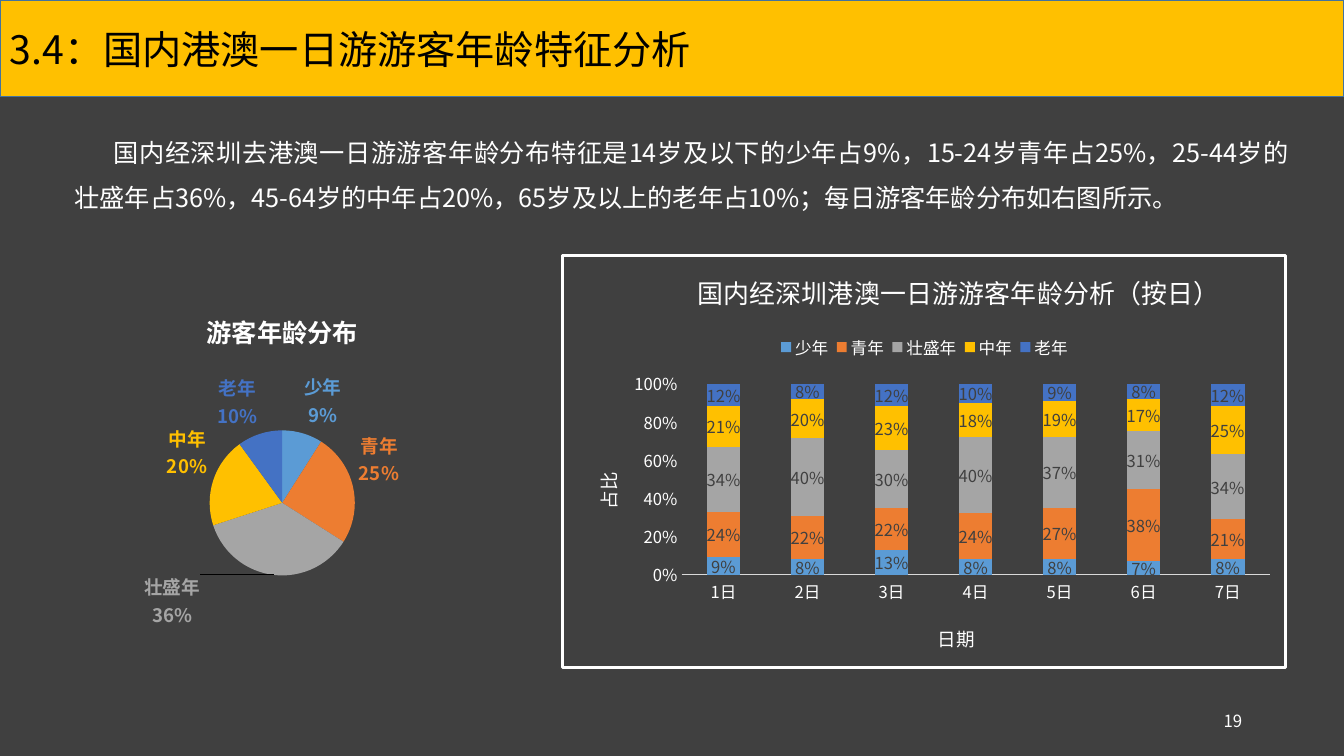
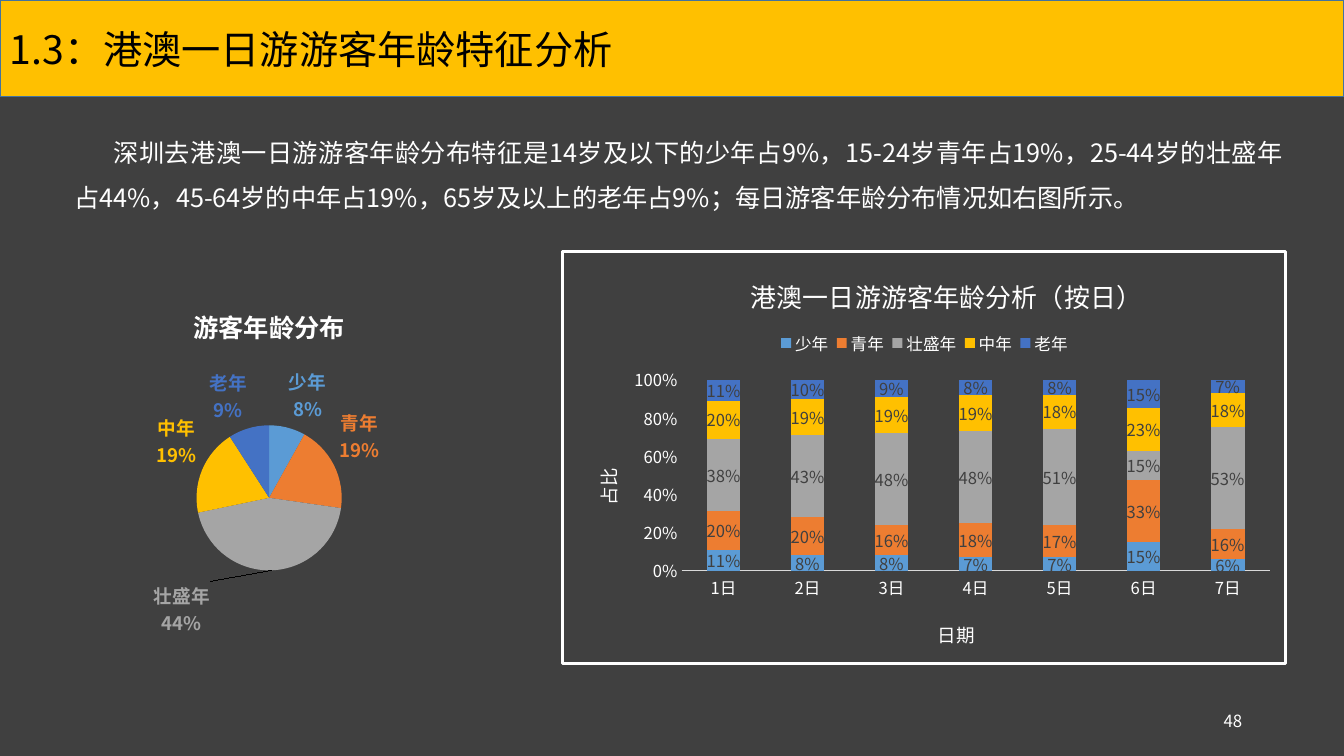
from pptx import Presentation
from pptx.chart.data import CategoryChartData
from pptx.dml.color import RGBColor
from pptx.enum.chart import XL_CHART_TYPE as ChartType
from pptx.enum.chart import XL_LABEL_POSITION as LabelPos
from pptx.enum.chart import XL_LEGEND_POSITION as LegendPos
from pptx.enum.chart import XL_TICK_MARK as TickMark
from pptx.enum.shapes import MSO_SHAPE as Shape
from pptx.enum.text import MSO_ANCHOR as Anchor
from pptx.enum.text import MSO_AUTO_SIZE as AutoSize
from pptx.enum.text import PP_ALIGN as Align
from pptx.oxml import parse_xml
from pptx.oxml.ns import nsdecls, qn
from pptx.util import Pt

PX = 9144  # 100 px to the inch
FONT = "Noto Sans CJK SC"
DARK, GOLD, WHITE, BLACK = "404040", "FFC000", "FFFFFF", "000000"
BAND_LINE, AXIS_LINE = "43739E", "D9D9D9"
AGE_COLORS = {"少年": "5B9BD5", "青年": "ED7D31", "壮盛年": "A5A5A5",
              "中年": GOLD, "老年": "4472C4"}
DAYS = [f"{day}日" for day in range(1, 8)]
NS = nsdecls("c", "a")

PAGES = [
    dict(
        title="3.4：国内港澳一日游游客年龄特征分析", number="19",
        body="国内经深圳去港澳一日游游客年龄分布特征是14岁及以下的少年占9%，15-24岁青年占25%，"
             "25-44岁的壮盛年占36%，45-64岁的中年占20%，65岁及以上的老年占10%；"
             "每日游客年龄分布如右图所示。",
        body_box=(64, 116, 1224, 146),
        bar_box=(556, 252, 721, 412), bar_title="国内经深圳港澳一日游游客年龄分析（按日）",
        bar_title_at=(130, 10),
        daily=[[9, 8, 13, 8, 8, 7, 8], [24, 22, 22, 24, 27, 38, 21],
               [34, 40, 30, 40, 37, 31, 34], [21, 20, 23, 18, 19, 17, 25],
               [12, 8, 12, 10, 9, 8, 12]],
        pie_box=(53, 291, 454, 353), shares=[9, 25, 36, 20, 10], label_shift=(-71, -8),
    ),
    dict(
        title="1.3：港澳一日游游客年龄特征分析", number="48",
        body="深圳去港澳一日游游客年龄分布特征是14岁及以下的少年占9%，15-24岁青年占19%，"
             "25-44岁的壮盛年占44%，45-64岁的中年占19%，65岁及以上的老年占9%；"
             "每日游客年龄分布情况如右图所示。",
        body_box=(64, 116, 1218, 101),
        bar_box=(556, 248, 721, 412), bar_title="港澳一日游游客年龄分析（按日）",
        bar_title_at=(183, 18),
        daily=[[11, 8, 8, 7, 7, 15, 6], [20, 20, 16, 18, 17, 33, 16],
               [38, 43, 48, 48, 51, 15, 53], [20, 19, 19, 19, 18, 23, 18],
               [11, 10, 9, 8, 8, 15, 7]],
        pie_box=(40, 286, 454, 353), shares=[8, 19, 44, 19, 9], label_shift=(-89, 5),
    ),
]


def emu(box):
    return [length * PX for length in box]


def rgb(color):
    return RGBColor.from_string(color)


def style(font, size, color, bold=False):
    font.size, font.bold, font.name = Pt(size), bold, FONT
    font.color.rgb = rgb(color)
    latin = font._rPr.find(qn("a:latin"))
    latin.addnext(parse_xml(f'<a:ea {NS} typeface="{FONT}"/>'))


def write(frame, text, size, color, align=Align.LEFT, bold=False):
    para = frame.paragraphs[0]
    para.alignment = align
    span = para.add_run()
    span.text = text
    style(span.font, size, color, bold)
    return para


# Chart helpers
def layout_xml(box, size, inner=False):
    """Layout from px inside a chart of the given size; a pair gives only x, y."""
    target = '<c:layoutTarget val="inner"/>' if inner else ""
    modes = '<c:xMode val="edge"/><c:yMode val="edge"/>'
    values = "".join(f'<c:{key} val="{length / size[i % 2]:.4f}"/>'
                     for i, (key, length) in enumerate(zip("xywh", box)))
    return f"<c:layout {NS}><c:manualLayout>{target}{modes}{values}</c:manualLayout></c:layout>"


def place(element, index, box, size, inner=False):
    for old in element.findall(qn("c:layout")):
        element.remove(old)
    element.insert(index, parse_xml(layout_xml(box, size, inner)))


def add_chart(page, kind, box, data, plot_box, border=""):
    chart = page.shapes.add_chart(kind, *emu(box), data).chart
    style(chart.font, 10, BLACK)
    space = chart._chartSpace
    line = (f'<a:ln w="{Pt(2.25)}"><a:solidFill><a:srgbClr val="{border}"/></a:solidFill></a:ln>'
            if border else "<a:ln><a:noFill/></a:ln>")
    space.find(qn("c:chart")).addnext(
        parse_xml(f"<c:spPr {NS}><a:noFill/>{line}</c:spPr>"))
    plot_area = space.find(".//" + qn("c:plotArea"))
    place(plot_area, 0, plot_box, box[2:], inner=True)
    plot_area.append(parse_xml(f"<c:spPr {NS}><a:noFill/><a:ln><a:noFill/></a:ln></c:spPr>"))
    return chart


def add_axis(axis, title, title_at, size):
    axis.has_major_gridlines = False
    axis.major_tick_mark = axis.minor_tick_mark = TickMark.NONE
    style(axis.tick_labels.font, 11.9, WHITE)
    write(axis.axis_title.text_frame, title, 13.3, WHITE, Align.CENTER)
    place(axis.axis_title._element, 1, title_at, size)


# Regions of a page
def add_band(page, box, title):
    band = page.shapes.add_shape(Shape.RECTANGLE, *emu(box))
    band.shadow.inherit = False
    band.fill.solid()
    band.fill.fore_color.rgb = rgb(GOLD)
    band.line.color.rgb = rgb(BAND_LINE)
    band.line.width = Pt(1)
    band.text_frame.vertical_anchor = Anchor.MIDDLE
    write(band.text_frame, title, 28, BLACK)


def add_body(page, box, text):
    frame = page.shapes.add_textbox(*emu(box)).text_frame
    frame.word_wrap = True
    frame.auto_size = AutoSize.SHAPE_TO_FIT_TEXT
    para = write(frame, text, 18, WHITE, Align.JUSTIFY)
    para.line_spacing = 1.5
    props = para._p.get_or_add_pPr()
    props.set("marL", "0")
    props.set("indent", str(39 * PX))


def add_number(page, box, number):
    frame = page.shapes.add_textbox(*emu(box)).text_frame
    frame.word_wrap = True
    frame.vertical_anchor = Anchor.MIDDLE
    write(frame, number, 12, WHITE, Align.RIGHT)


def add_daily_chart(page, box, title, title_at, daily):
    size = box[2:]
    data = CategoryChartData(number_format="0%")
    data.categories = DAYS
    for age, values in zip(AGE_COLORS, daily):
        data.add_series(age, [value / 100 for value in values])
    chart = add_chart(page, ChartType.COLUMN_STACKED_100, box, data,
                      (119, 128, 586, 191), WHITE)
    write(chart.chart_title.text_frame, title, 18.6, WHITE, Align.CENTER)
    place(chart.chart_title._element, 1, title_at, size)

    # Legend
    chart.has_legend = True
    chart.legend.position = LegendPos.TOP
    chart.legend.include_in_layout = False
    style(chart.legend.font, 11.9, WHITE)
    place(chart.legend._element, 1, (210, 79, 302, 25), size)

    # Axes
    days, share = chart.category_axis, chart.value_axis
    add_axis(days, "日期", (371, 363), size)
    days.format.line.color.rgb = rgb(AXIS_LINE)
    days.format.line.width = Pt(0.75)
    add_axis(share, "占比", (27, 213), size)
    turn = share.axis_title.text_frame._txBody.find(qn("a:bodyPr"))
    turn.set("rot", "-5400000")
    turn.set("vert", "horz")
    share.format.line.fill.background()
    share.minimum_scale, share.maximum_scale, share.major_unit = 0, 1, 0.2
    share.tick_labels.number_format = "0%"
    share.tick_labels.number_format_is_linked = False

    # Columns and their labels
    plot = chart.plots[0]
    plot.gap_width, plot.overlap, plot.vary_by_categories = 150, 100, False
    for series, color in zip(plot.series, AGE_COLORS.values()):
        series.format.fill.solid()
        series.format.fill.fore_color.rgb = rgb(color)
        labels = series.data_labels
        labels.show_value = True
        labels.position = LabelPos.CENTER
        labels.number_format, labels.number_format_is_linked = "0%", False
        style(labels.font, 11.9, DARK)


def pie_label_xml(color):
    return (
        '<c:numFmt formatCode="0%" sourceLinked="0"/><c:spPr><a:noFill/><a:ln><a:noFill/></a:ln></c:spPr>'
        '<c:txPr><a:bodyPr/><a:lstStyle/><a:p><a:pPr><a:defRPr sz="1330" b="1">'
        f'<a:solidFill><a:srgbClr val="{color}"/></a:solidFill>'
        f'<a:latin typeface="{FONT}"/><a:ea typeface="{FONT}"/></a:defRPr></a:pPr>'
        '<a:endParaRPr lang="zh-CN"/></a:p></c:txPr>'
        '<c:dLblPos val="outEnd"/><c:showLegendKey val="0"/><c:showVal val="0"/>'
        '<c:showCatName val="1"/><c:showSerName val="0"/><c:showPercent val="1"/>'
        '<c:showBubbleSize val="0"/><c:separator>\n</c:separator>')


def add_share_chart(page, box, shares, label_shift):
    data = CategoryChartData()
    data.categories = list(AGE_COLORS)
    data.add_series("Series 1", shares)
    chart = add_chart(page, ChartType.PIE, box, data, (155, 136, 144, 144))
    chart.has_legend = False
    write(chart.chart_title.text_frame, "游客年龄分布", 18, WHITE, Align.CENTER, bold=True)
    chart.plots[0].vary_by_categories = True
    series = chart.plots[0].series[0]

    # Slices, and labels in the slice colours; the largest label is moved aside
    labels = ""
    for index, (age, color) in enumerate(AGE_COLORS.items()):
        fill = series.points[index].format.fill
        fill.solid()
        fill.fore_color.rgb = rgb(color)
        layout = ""
        if age == "壮盛年":
            x, y = (shift / length for shift, length in zip(label_shift, box[2:]))
            layout = (f'<c:layout><c:manualLayout><c:x val="{x:.4f}"/><c:y val="{y:.4f}"/>'
                      "</c:manualLayout></c:layout>")
        labels += f'<c:dLbl><c:idx val="{index}"/>{layout}{pie_label_xml(color)}</c:dLbl>'
    labels += pie_label_xml(AGE_COLORS["少年"]) + '<c:showLeaderLines val="1"/>'
    series._element.find(qn("c:cat")).addprevious(
        parse_xml(f"<c:dLbls {NS}>{labels}</c:dLbls>"))


def add_page(deck, title, number, body, body_box, bar_box, bar_title, bar_title_at,
             daily, pie_box, shares, label_shift):
    page = deck.slides.add_slide(deck.slide_layouts[6])
    page.background.fill.solid()
    page.background.fill.fore_color.rgb = rgb(DARK)
    add_band(page, (0, 0, 1333, 96), title)
    add_body(page, body_box, body)
    add_number(page, (942, 695, 300, 40), number)
    add_daily_chart(page, bar_box, bar_title, bar_title_at, daily)
    add_share_chart(page, pie_box, shares, label_shift)


def main():
    deck = Presentation()
    deck.slide_width, deck.slide_height = emu((1333, 750))
    for content in PAGES:
        add_page(deck, **content)
    deck.save("out.pptx")


if __name__ == "__main__":
    main()
